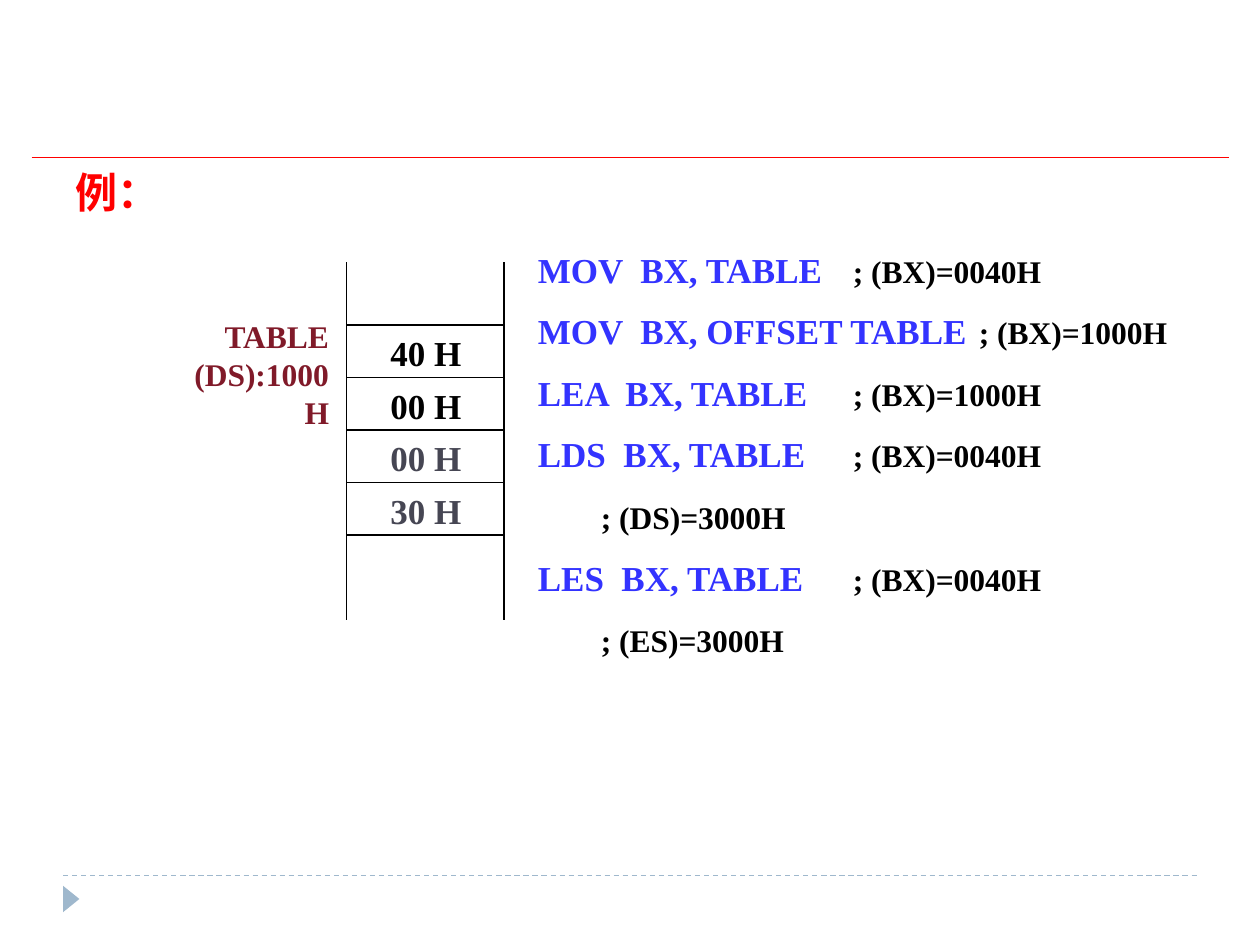
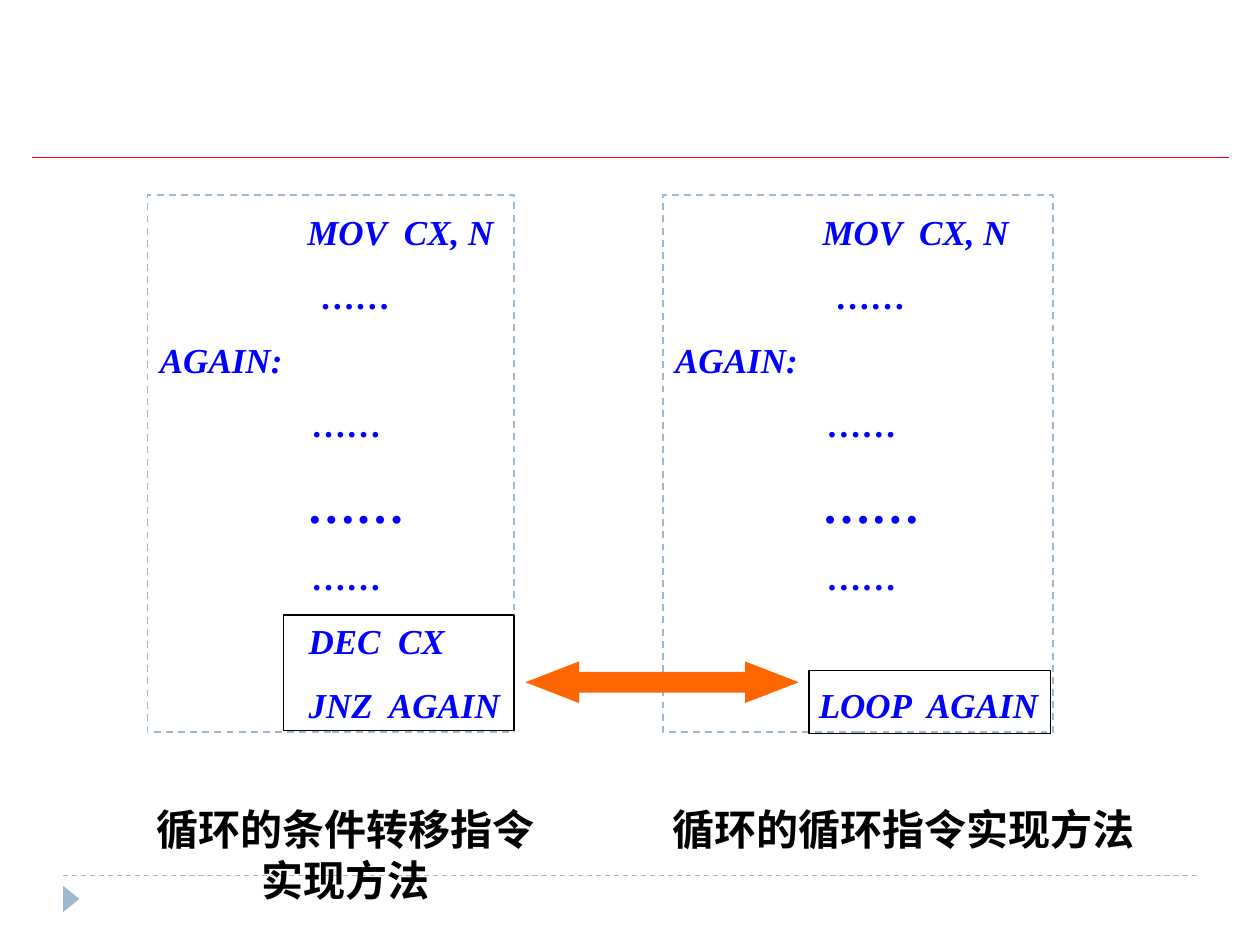
from lxml import etree
from pptx import Presentation
from pptx.dml.color import RGBColor
from pptx.enum.dml import MSO_LINE
from pptx.enum.shapes import MSO_CONNECTOR, MSO_SHAPE
from pptx.enum.text import MSO_ANCHOR, PP_ALIGN
from pptx.oxml.ns import qn
from pptx.util import Inches, Pt

RECT, TRIANGLE = MSO_SHAPE.RECTANGLE, MSO_SHAPE.ISOSCELES_TRIANGLE
DOUBLE_ARROW = MSO_SHAPE.LEFT_RIGHT_ARROW
STRAIGHT, DASH = MSO_CONNECTOR.STRAIGHT, MSO_LINE.DASH
MIDDLE, TOP = MSO_ANCHOR.MIDDLE, MSO_ANCHOR.TOP
CENTER, RIGHT = PP_ALIGN.CENTER, PP_ALIGN.RIGHT

WIDTH, HEIGHT, MARGIN = 10, 7.5, 0.5
FONT = "Times New Roman"
BLACK, RED, GREY, MAROON = "000000", "FF0000", "464653", "801A29"
CODE_BLUE, LOOP_BLUE, STEEL, ORANGE = "3333FF", "0000FF", "9FB8CD", "FF6600"

EXAMPLE = "例："
ADDRESS = ["TABLE", "(DS):1000H"]
MEMORY = [("40 H", BLACK), ("00 H", BLACK), ("00 H", GREY), ("30 H", GREY)]
INSTRUCTIONS = [
    ("MOV  BX, TABLE", "; (BX)=0040H"),
    ("MOV  BX, OFFSET TABLE", "; (BX)=1000H"),
    ("LEA  BX, TABLE", "; (BX)=1000H"),
    ("LDS  BX, TABLE", "; (BX)=0040H"),
    ("", "; (DS)=3000H"),
    ("LES  BX, TABLE", "; (BX)=0040H"),
    ("", "; (ES)=3000H"),
]

LOOP_START = [
    ("MOV  CX, N", 1.17, 20, 0),
    ("……", 1.28, 20, 12.5),
    ("AGAIN:", 0, 20, 12.5),
    ("……", 1.21, 20, 12.5),
    ("……", 1.18, 28, 17.5),
    ("……", 1.21, 20, 12.5),
]
LOOPS = [
    {"code": LOOP_START + [("DEC  CX", 1.18, 20, 12.5), ("JNZ  AGAIN", 1.18, 20, 12.5)],
     "frame": (1.17, 1.55, 2.91, 4.26), "ending": (2.25, 4.88, 1.83, 0.92),
     "caption": "循环的条件转移指令实现方法", "caption_at": (1.08, 6.33, 3.33, 0.9)},
    {"code": LOOP_START + [("LOOP  AGAIN", 1.14, 20, 49)],
     "frame": (5.26, 1.55, 3.1, 4.26), "ending": (6.42, 5.32, 1.92, 0.5),
     "caption": "循环的循环指令实现方法", "caption_at": (5.17, 6.33, 4, 0.5)},
]


def colour(value):
    return RGBColor.from_string(value)


def stroke(line, value, width, dashed=False):
    line.color.rgb = colour(value)
    line.width = Pt(width)
    if dashed:
        line.dash_style = DASH


def rule(slide, start, end, value=BLACK, width=1, dashed=False):
    points = [Inches(n) for n in (*start, *end)]
    connector = slide.shapes.add_connector(STRAIGHT, *points)
    stroke(connector.line, value, width, dashed)
    etree.SubElement(connector._element.spPr, qn("a:effectLst"))


def block(slide, kind, at, fill=None, outline=None):
    shape = slide.shapes.add_shape(kind, *[Inches(n) for n in at])
    shape.shadow.inherit = False
    if fill:
        shape.fill.solid()
        shape.fill.fore_color.rgb = colour(fill)
    else:
        shape.fill.background()
    if outline:
        stroke(shape.line, *outline)
    else:
        shape.line.fill.background()
    return shape


def run(text, value=BLACK, size=20, italic=False):
    return text, value, {"name": FONT, "size": Pt(size), "bold": True, "italic": italic}


def write(frame, lines, right=0.1, top=0.05, anchor=TOP):
    formats = {"word_wrap": True, "vertical_anchor": anchor, "margin_left": Inches(0.1),
               "margin_right": Inches(right), "margin_top": Inches(top),
               "margin_bottom": Inches(0.05)}
    for key, value in formats.items():
        setattr(frame, key, value)
    for index, (runs, layout) in enumerate(lines):
        paragraph = frame.add_paragraph() if index else frame.paragraphs[0]
        properties = paragraph._p.get_or_add_pPr()
        properties.set("marL", str(Inches(layout.get("indent", 0))))
        properties.set("indent", "0")
        if "tab" in layout:
            stops = etree.SubElement(properties, qn("a:tabLst"))
            etree.SubElement(stops, qn("a:tab"), pos=str(Inches(layout["tab"])), algn="l")
        for key in ("alignment", "line_spacing", "space_before"):
            if key in layout:
                setattr(paragraph, key, layout[key])
        for text, value, font in runs:
            part = paragraph.add_run()
            part.text = text
            part.font.color.rgb = colour(value)
            for key, setting in font.items():
                setattr(part.font, key, setting)


def label(slide, at, lines, **options):
    box = slide.shapes.add_textbox(*[Inches(n) for n in at])
    write(box.text_frame, lines, **options)


def new_slide(deck):
    slide = deck.slides.add_slide(deck.slide_layouts[6])
    rule(slide, (MARGIN, 6.95), (WIDTH - MARGIN, 6.95), STEEL, 0.75, True)
    block(slide, TRIANGLE, (0.46, 7.07, 0.21, 0.13), STEEL).rotation = 90
    rule(slide, (MARGIN / 2, 1.25), (WIDTH - MARGIN / 2, 1.25), RED, 0.75)
    return slide


def memory_slide(deck):
    slide = new_slide(deck)
    label(slide, (MARGIN, 1.27, 4.42, 0.5), [([run(EXAMPLE, RED, 24)], {})])
    left, right, first_cell, cell_height = 2.75, 4, 2.58, 5 / 12
    for x in (left, right):
        rule(slide, (x, 2.08), (x, 4.92))
    for index in range(len(MEMORY) + 1):
        y = first_cell + index * cell_height
        rule(slide, (left, y), (right, y))
    label(slide, (3, 2.5, 0.83, 1.77),
          [([run(value, tint)], {"line_spacing": 1.25}) for value, tint in MEMORY])
    label(slide, (1.25, 2.47, 1.46, 0.7),
          [([run(line, MAROON, 18)], {"alignment": RIGHT}) for line in ADDRESS])
    lines = []
    for index, (code, effect) in enumerate(INSTRUCTIONS):
        gap = {"space_before": Pt(11.2)} if index else {}
        lines.append(([run(code + "\t", CODE_BLUE), run(effect, BLACK, 18)],
                      {"tab": 3.6, **gap}))
    label(slide, (4.17, 1.92, 5.34, 3.37), lines, right=0)


def loop_slide(deck):
    slide = new_slide(deck)
    for loop in LOOPS:
        frame = block(slide, RECT, loop["frame"], outline=(STEEL, 1, True))
        lines = [([run(text, LOOP_BLUE, size, True)],
                  {"indent": indent, "space_before": Pt(before), "alignment": PP_ALIGN.LEFT})
                 for text, indent, size, before in loop["code"]]
        write(frame.text_frame, lines, right=0, top=0.12, anchor=MIDDLE)
        label(slide, loop["caption_at"],
              [([run(loop["caption"], BLACK, 24)], {"alignment": CENTER})])
        block(slide, RECT, loop["ending"], outline=(BLACK, 0.75))
    arrow = block(slide, DOUBLE_ARROW, (4.17, 5.25, 2.17, 0.33), ORANGE)
    arrow.adjustments[0], arrow.adjustments[1] = 0.5, 1.29


def main():
    deck = Presentation()
    deck.slide_width, deck.slide_height = Inches(WIDTH), Inches(HEIGHT)
    memory_slide(deck)
    loop_slide(deck)
    deck.save("out.pptx")


if __name__ == "__main__":
    main()
